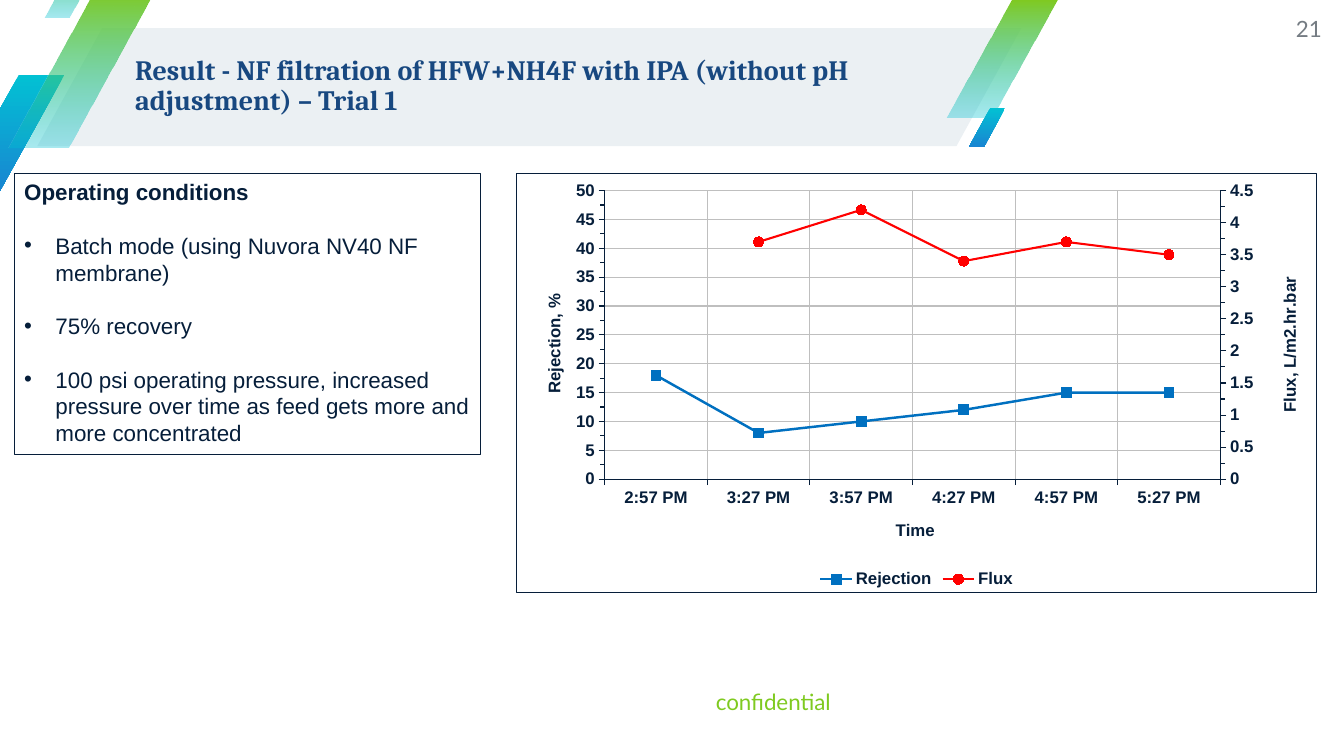
from copy import deepcopy

from pptx import Presentation
from pptx import util as u
from pptx.chart import axis as chart_axis
from pptx.chart.data import CategoryChartData
from pptx.dml.color import RGBColor
from pptx.enum import chart as charts, shapes, text
from pptx.oxml import parse_xml
from pptx.oxml.ns import nsdecls, qn

NAVY, GREEN, CYAN, BLUE = "061E3A", "7FCA20", "02C1D3", "1985D2"
GRID = "BFBFBF"


def color(value):
    return RGBColor.from_string(value)


def box(left, top, width, height):
    return [u.Inches(value) for value in (left, top, width, height)]


def set_line(line, value, width=0.75):
    line.color.rgb = color(value)
    line.width = u.Pt(width)


def write(paragraph, content, size=16, font="Arial", fill=NAVY, bold=False,
          align=text.PP_ALIGN.LEFT, before=0, spacing=1.0):
    paragraph.alignment = align
    paragraph.space_before = u.Pt(before)
    paragraph.line_spacing = spacing
    run = paragraph.add_run()
    run.text = content
    run.font.size, run.font.name, run.font.bold = u.Pt(size), font, bold
    run.font.color.rgb = color(fill)


def clear_insets(frame):
    frame.margin_left = frame.margin_right = frame.margin_top = frame.margin_bottom = 0
    frame.vertical_anchor = text.MSO_ANCHOR.MIDDLE
    frame.word_wrap = True


def place(shape, bounds):
    shape.left, shape.top, shape.width, shape.height = box(*bounds)
    shape._element.getparent().append(shape._element)  # bring to front


# Slanted bands
def add_band(slide, bounds, stops, slant=0.59, end_alpha=None):
    shape = slide.shapes.add_shape(shapes.MSO_SHAPE.PARALLELOGRAM, *box(*bounds))
    shape.adjustments[0] = slant
    shape.shadow.inherit = False
    shape.line.fill.background()
    if len(stops) == 1:
        shape.fill.solid()
        shape.fill.fore_color.rgb = color(stops[0])
        return
    shape.fill.gradient()
    shape.fill.gradient_angle = 270
    for stop, value, position in zip(shape.fill.gradient_stops, stops, (0, 1)):
        stop.color.rgb = color(value)
        stop.position = position
    if end_alpha:
        end = list(shape._element.spPr.iter(qn("a:srgbClr")))[-1]
        end.append(parse_xml(f'<a:alpha {nsdecls("a")} val="{end_alpha * 1000}"/>'))


def add_label(slide, bounds, content, fill):
    frame = slide.shapes.add_textbox(*box(*bounds)).text_frame
    clear_insets(frame)
    write(frame.paragraphs[0], content, font="Lato", fill=fill, align=text.PP_ALIGN.RIGHT)


# Title and list placeholders
def fill_title(title, content):
    place(title, (1.34, 0.26, 8.23, 1.19))
    clear_insets(title.text_frame)
    title.text_frame.auto_size = text.MSO_AUTO_SIZE.NONE
    write(title.text_frame.paragraphs[0], content, size=20, font="Cambria",
          fill="184880", bold=True, spacing=0.9)


def set_bullet(paragraph, symbol=None):
    properties = paragraph._p.get_or_add_pPr()
    indent = u.Inches(0.31) if symbol else 0
    properties.set("marL", str(indent))
    properties.set("indent", str(-indent))
    bullet = f'buChar {nsdecls("a")} char="{symbol}"' if symbol else f'buNone {nsdecls("a")}'
    properties.append(parse_xml(f"<a:{bullet}/>"))


def fill_conditions(body, heading, items):
    place(body, (0.14, 1.72, 4.63, 2.79))
    set_line(body.line, NAVY)
    frame = body.text_frame
    frame.auto_size = text.MSO_AUTO_SIZE.NONE
    frame.vertical_anchor = text.MSO_ANCHOR.TOP
    set_bullet(frame.paragraphs[0])
    write(frame.paragraphs[0], heading, bold=True)
    for item in items:
        paragraph = frame.add_paragraph()
        set_bullet(paragraph, "•")
        write(paragraph, item, before=19)


# Chart
def set_layout(element, index, target="", **fractions):
    for old in element.findall(qn("c:layout")):
        element.remove(old)
    modes = "".join(f'<c:{key}Mode val="edge"/>' for key in "xy")
    values = "".join(f'<c:{key} val="{value}"/>' for key, value in fractions.items())
    element.insert(index, parse_xml(
        f'<c:layout {nsdecls("c")}><c:manualLayout>{target}{modes}{values}'
        "</c:manualLayout></c:layout>"))


def format_axis(axis, title, x, y, rotated=False):
    set_line(axis.format.line, NAVY)
    axis.major_tick_mark = charts.XL_TICK_MARK.OUTSIDE
    font = axis.tick_labels.font
    font.size, font.name, font.bold = u.Pt(12), "Arial", True
    font.color.rgb = color(NAVY)
    frame = axis.axis_title.text_frame
    write(frame.paragraphs[0], title, size=12, bold=True, align=text.PP_ALIGN.CENTER)
    if rotated:
        frame._txBody.bodyPr.set("rot", "-5400000")
        frame._txBody.bodyPr.set("vert", "horz")
    set_layout(axis.axis_title._element, 1, x=x, y=y)


def scale_axis(axis, maximum, unit):
    axis.minimum_scale, axis.maximum_scale = 0, maximum
    axis.major_unit, axis.minor_unit = unit, unit / 2
    axis.minor_tick_mark = charts.XL_TICK_MARK.OUTSIDE
    axis.tick_labels.number_format = "General"
    axis.tick_labels.number_format_is_linked = False


def add_right_axis(chart):
    """Move the second series to its own pair of axes; return the value axis."""
    line_plot = chart.plots[0]._element
    category, value = chart.category_axis._element, chart.value_axis._element
    right_plot, right_category, right_value = map(deepcopy, (line_plot, category, value))
    for element in (right_plot, right_category, right_value):
        for reference in element.iter(qn("c:axId"), qn("c:crossAx")):
            reference.set("val", "1" + reference.get("val")[1:])
    line_plot.remove(line_plot.findall(qn("c:ser"))[1])
    right_plot.remove(right_plot.findall(qn("c:ser"))[0])
    line_plot.addnext(right_plot)
    value.addnext(right_value)
    right_value.addnext(right_category)
    chart_axis.CategoryAxis(right_category).visible = False
    right_value.find(qn("c:axPos")).set("val", "r")
    right_value.find(qn("c:crosses")).set("val", "max")
    return chart_axis.ValueAxis(right_value)


def format_series(series, fill, width, marker):
    series.smooth = False
    set_line(series.format.line, fill, width)
    series.marker.style, series.marker.size = marker, 7
    series.marker.format.fill.solid()
    series.marker.format.fill.fore_color.rgb = color(fill)
    set_line(series.marker.format.line, fill)


def add_trial_chart(slide):
    data = CategoryChartData()
    data.categories = [f"{hour}:{minute} PM" for hour, minute in
                       ((2, 57), (3, 27), (3, 57), (4, 27), (4, 57), (5, 27))]
    data.add_series("Rejection", (18, 8, 10, 12, 15, 15))
    data.add_series("Flux", (None, 3.7, 4.2, 3.4, 3.7, 3.5))
    chart = slide.shapes.add_chart(charts.XL_CHART_TYPE.LINE_MARKERS,
                                   *box(5.12, 1.72, 7.94, 4.16), data).chart
    chart.has_title = False
    chart.plots[0].vary_by_categories = False
    chart.font.size, chart.font.name, chart.font.bold = u.Pt(12), "Arial", True
    chart.font.color.rgb = color(NAVY)
    chart.has_legend = True
    chart.legend.position = charts.XL_LEGEND_POSITION.BOTTOM
    chart.legend.include_in_layout = False

    rejection, flux = chart.plots[0].series
    format_series(rejection, "0070C0", 1.75, charts.XL_MARKER_STYLE.SQUARE)
    format_series(flux, "FF0000", 1.5, charts.XL_MARKER_STYLE.CIRCLE)
    # value_axis points to the right axis once there are two, so keep the left one
    time_axis, left_axis = chart.category_axis, chart.value_axis
    right_axis = add_right_axis(chart)
    right_axis.has_major_gridlines = False
    for axis in (time_axis, left_axis):
        axis.has_major_gridlines = True
        set_line(axis.major_gridlines.format.line, GRID)
    scale_axis(left_axis, 50, 5)
    scale_axis(right_axis, 4.5, 0.5)
    format_axis(time_axis, "Time", 0.47, 0.82)
    format_axis(left_axis, "Rejection, %", 0.03, 0.28, rotated=True)
    format_axis(right_axis, "Flux, L/m2.hr.bar", 0.95, 0.24, rotated=True)

    space = chart._chartSpace
    set_layout(space.chart.plotArea, 0, '<c:layoutTarget val="inner"/>',
               x=0.11, y=0.04, w=0.77, h=0.69)
    space.chart.addnext(parse_xml(
        f'<c:spPr {nsdecls("c", "a")}><a:noFill/><a:ln w="{u.Pt(0.75)}"><a:solidFill>'
        f'<a:srgbClr val="{NAVY}"/></a:solidFill></a:ln></c:spPr>'))


def main():
    presentation = Presentation()
    presentation.slide_width, presentation.slide_height = u.Inches(13.33), u.Inches(7.5)
    slide = presentation.slides.add_slide(presentation.slide_layouts[1])

    add_band(slide, (0.37, 0.28, 9.76, 1.17), ["EBF0F3"], slant=0.55)
    add_band(slide, (-0.46, 0.74, 1.1, 1.17), [CYAN, BLUE])
    for bounds in ((9.39, 0, 1.1, 1.17), (0.08, -0.1, 1.46, 1.56), (0.44, -0.48, 0.61, 0.65)):
        add_band(slide, bounds, [GREEN, CYAN], end_alpha=34)
    add_band(slide, (9.61, 1.07, 0.36, 0.39), [CYAN, BLUE])

    add_label(slide, (4.67, 6.67, 3.57, 0.57), "confidential", GREEN)
    add_label(slide, (12.48, 0, 0.63, 0.57), "21", "757C83")
    fill_title(slide.shapes.title, "Result - NF filtration of HFW+NH4F with IPA "
               "(without pH adjustment) – Trial 1")
    fill_conditions(slide.placeholders[1], "Operating conditions", [
        "Batch mode (using Nuvora NV40 NF membrane)",
        "75% recovery",
        "100 psi operating pressure, increased pressure over time as feed gets "
        "more and more concentrated"])
    add_trial_chart(slide)
    presentation.save("out.pptx")


if __name__ == "__main__":
    main()
